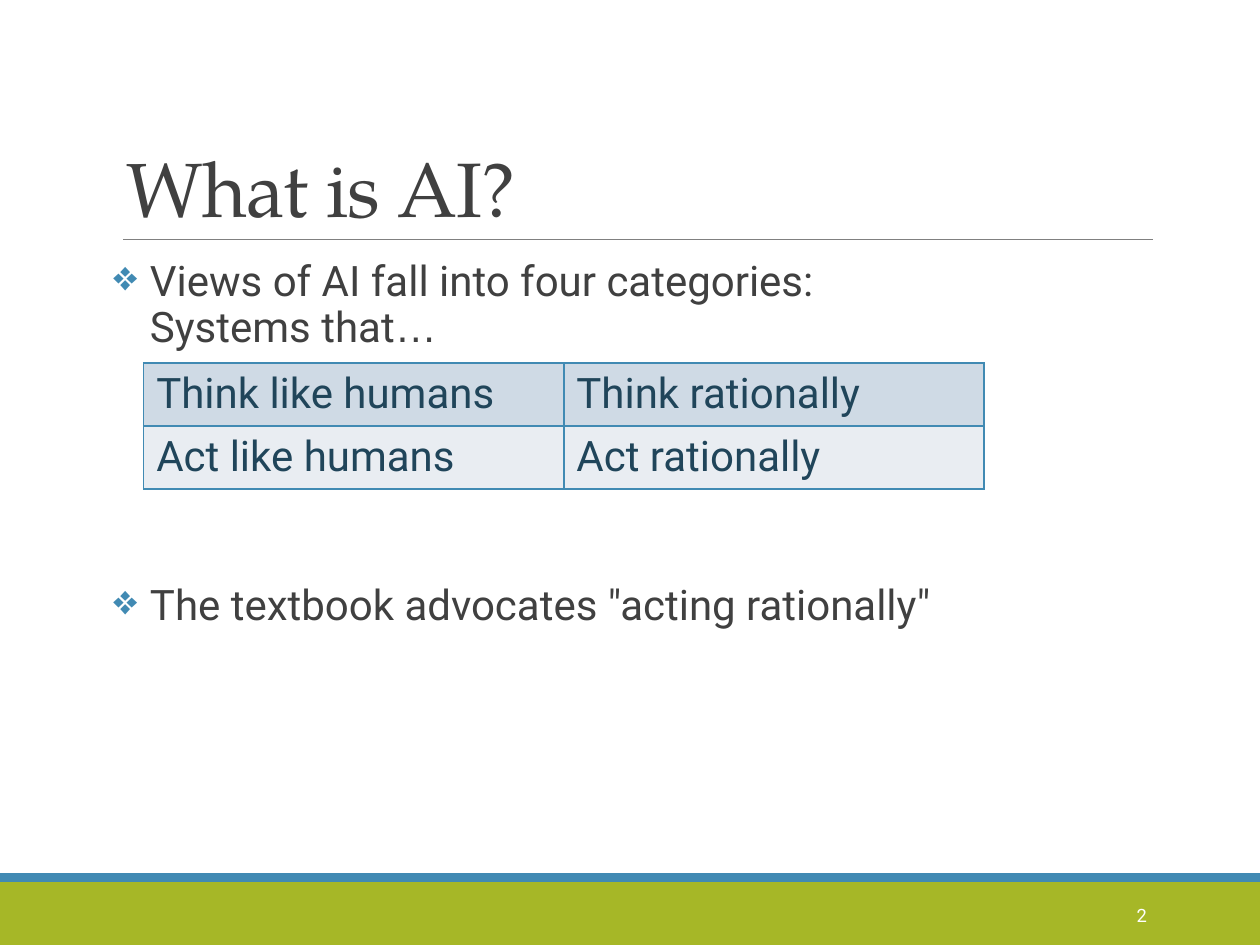
import pptx
import pptx.util
import pptx.dml.color
import pptx.enum.shapes
import pptx.enum.text
import pptx.oxml.ns
import lxml.etree

Inches, Pt = pptx.util.Inches, pptx.util.Pt
RGB = pptx.dml.color.RGBColor.from_string
qn = pptx.oxml.ns.qn
Anchor = pptx.enum.text.MSO_ANCHOR
Align = pptx.enum.text.PP_ALIGN

THEME = {
    "green": "A6B727", "blue": "418AB3", "rule": "808080",
    "ink": "404040", "navy": "20455A", "white": "FFFFFF",
    "rows": ["CFDAE5", "E9EDF2"],
    "head": "TeX Gyre Pagella", "body": "Roboto", "dots": "Arial",
    "title": 44, "text": 24, "small": 10.5,
}

TITLE = "What is AI?"
POINTS = [
    (["Views of AI fall into four categories:", "Systems that"], "…", 12),
    (['The textbook advocates "acting rationally"'], "", 131),
]
VIEWS = [
    ["Think like humans", "Think rationally"],
    ["Act like humans", "Act rationally"],
]
PAGE = "2"
BANDS = [(7, 0.5, "green"), (6.93, 0.07, "blue")]
LEFT, RIGHT = 0.9, 9.15
INDENT = 0.29


def style(para, size, color, face="body"):
    font = para.font
    font.size = Pt(THEME[size])
    font.name = THEME[face]
    font.color.rgb = RGB(THEME[color])
    return font


def place(shape, left, top, width, height):
    shape.left, shape.top = Inches(left), Inches(top)
    shape.width, shape.height = Inches(width), Inches(height)


def add_node(parent, tag, **attrs):
    return lxml.etree.SubElement(parent, qn(tag), **attrs)


def add_box(slide, *area):
    frame = slide.shapes.add_textbox(*map(Inches, area)).text_frame
    frame.word_wrap = True
    return frame


def add_base(slide):
    for top, height, color in BANDS:
        band = slide.shapes.add_shape(
            pptx.enum.shapes.MSO_SHAPE.RECTANGLE,
            0, Inches(top), Inches(10), Inches(height))
        band.shadow.inherit = False
        band.fill.solid()
        band.fill.fore_color.rgb = RGB(THEME[color])
        band.line.fill.background()
    rule = slide.shapes.add_connector(
        pptx.enum.shapes.MSO_CONNECTOR.STRAIGHT,
        Inches(0.98), Inches(1.9), Inches(RIGHT), Inches(1.9))
    rule.line.color.rgb = RGB(THEME["rule"])
    rule.line.width = Pt(0.5)
    add_node(rule._element.spPr, "a:effectLst")


def add_title(slide):
    title = slide.shapes.title
    place(title, LEFT, 0.31, RIGHT - LEFT, 1.59)
    frame = title.text_frame
    frame.text = TITLE
    frame.auto_size = pptx.enum.text.MSO_AUTO_SIZE.NONE
    frame.vertical_anchor = Anchor.BOTTOM
    para = frame.paragraphs[0]
    para.alignment = Align.LEFT
    para.line_spacing = 0.85
    style(para, "title", "ink", "head")._element.set("spc", "-50")


def add_bullet(para):
    props = para._p.get_or_add_pPr()
    props.set("marL", str(Inches(INDENT)))
    props.set("indent", str(-Inches(INDENT)))
    add_node(add_node(props, "a:buClr"), "a:srgbClr", val=THEME["blue"])
    add_node(props, "a:buChar", char="❖")


def add_points(slide):
    frame = add_box(slide, LEFT, 2.02, RIGHT - LEFT, 4.4)
    frame.margin_left = frame.margin_right = 0
    for i, (lines, tail, gap) in enumerate(POINTS):
        para = frame.add_paragraph() if i else frame.paragraphs[0]
        para.text = "\v".join(lines)
        add_bullet(para)
        para.line_spacing = 0.9
        para.space_before, para.space_after = Pt(gap), Pt(2)
        style(para, "text", "ink")
        if tail:
            run = para.add_run()
            run.text = tail
            run.font.name = THEME["dots"]


def add_border(cell):
    props = cell._tc.get_or_add_tcPr()
    for side in "LRTB":
        line = add_node(props, f"a:ln{side}", w=str(Pt(1)))
        fill = add_node(line, "a:solidFill")
        add_node(fill, "a:srgbClr", val=THEME["blue"])


def add_views(slide):
    rows, cols = len(VIEWS), len(VIEWS[0])
    table = slide.shapes.add_table(
        rows, cols, Inches(1.14), Inches(2.88),
        Inches(6.67), Inches(0.49 * rows)).table
    table.first_row = table.horz_banding = False
    for r, (texts, color) in enumerate(zip(VIEWS, THEME["rows"])):
        for c, text in enumerate(texts):
            cell = table.cell(r, c)
            cell.text = text
            style(cell.text_frame.paragraphs[0], "text", "navy")
            add_border(cell)
            cell.fill.solid()
            cell.fill.fore_color.rgb = RGB(color)


def add_page(slide):
    frame = add_box(slide, 8.12, 7.06, 1.08, 0.4)
    frame.vertical_anchor = Anchor.MIDDLE
    frame.text = PAGE
    para = frame.paragraphs[0]
    para.alignment = Align.RIGHT
    style(para, "small", "white")


def main():
    deck = pptx.Presentation()
    deck.slide_width, deck.slide_height = Inches(10), Inches(7.5)
    slide = deck.slides.add_slide(deck.slide_layouts[5])
    for add in (add_base, add_title, add_points, add_page, add_views):
        add(slide)
    deck.save("out.pptx")


if __name__ == "__main__":
    main()
